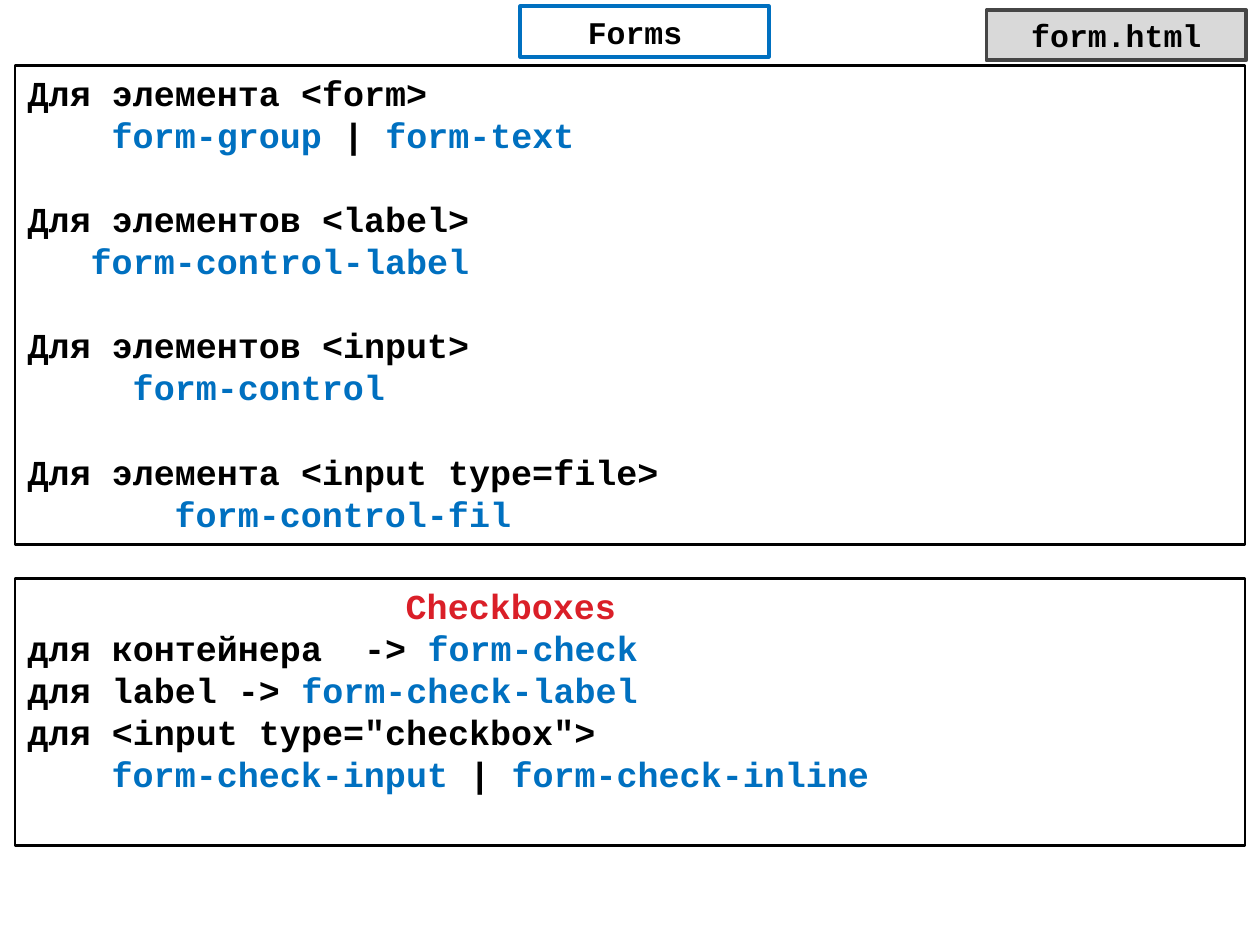
from pptx import Presentation
from pptx.dml.color import RGBColor
from pptx.enum.shapes import MSO_SHAPE
from pptx.enum.text import MSO_ANCHOR, MSO_AUTO_SIZE, PP_ALIGN
from pptx.oxml.ns import qn
from pptx.util import Inches, Pt

RECTANGLE = MSO_SHAPE.RECTANGLE
TOP = MSO_ANCHOR.TOP
NO_AUTOFIT = MSO_AUTO_SIZE.NONE
CENTER = PP_ALIGN.CENTER
LEFT = PP_ALIGN.LEFT

COLORS = {"text": "000000", "code": "0070C0", "heading": "DA1F28",
          "tag_fill": "D9D9D9", "tag_line": "464646"}
CHAR_WIDTH = 1 / 6
LINE_PITCH = 24


def frame_box(box, bounds, line_color, line_width):
    box.left, box.top, box.width, box.height = [Inches(v) for v in bounds]
    box.line.color.rgb = RGBColor.from_string(COLORS[line_color])
    box.line.width = Pt(line_width)
    settings = {"word_wrap": True, "auto_size": NO_AUTOFIT, "vertical_anchor": TOP,
                "margin_left": Inches(0.1), "margin_right": Inches(0.1),
                "margin_top": Inches(0.05), "margin_bottom": Inches(0.05)}
    for name, value in settings.items():
        setattr(box.text_frame, name, value)


def add_text(paragraph, text, color, size):
    run = paragraph.add_run()
    run.text = text
    for name, value in {"name": "Courier New", "size": Pt(size), "bold": True}.items():
        setattr(run.font, name, value)
    run.font.color.rgb = RGBColor.from_string(COLORS[color])


deck = Presentation()
deck.slide_width, deck.slide_height = Inches(10), Inches(7.5)
slide = deck.slides.add_slide(deck.slide_layouts[3])
title, form_classes, checkbox_classes = slide.placeholders

file_tag = slide.shapes.add_shape(RECTANGLE, 0, 0, 0, 0)
file_tag.shadow.inherit = False
file_tag.fill.solid()
file_tag.fill.fore_color.rgb = RGBColor.from_string(COLORS["tag_fill"])

for box, bounds, line_color, text in [
    (title, (4.13, 0.05, 1.97, 0.4), "code", "Forms"),
    (file_tag, (7.83, 0.08, 2.06, 0.4), "tag_line", "form.html"),
]:
    frame_box(box, bounds, line_color, 2.25)
    label = box.text_frame.paragraphs[0]
    label.alignment = CENTER
    label.line_spacing = Pt(21.6)
    add_text(label, text, "text", 18)
title.text_frame.margin_right = Inches(0.25)

form_lines = [
    (0, 0, [("Для элемента <form>", "text")]),
    (4, 0, [("form-group ", "code"), ("| ", "text"), ("form-text", "code")]),
    (0, 1, [("Для элементов <label>", "text")]),
    (3, 0, [("form-control-label", "code")]),
    (0, 1, [("Для элементов <input>", "text")]),
    (5, 0, [("form-control", "code")]),
    (0, 1, [("Для элемента <input type=file>", "text")]),
    (7, 0, [("form-control-fil", "code")]),
]
checkbox_lines = [
    (18, 0, [("Checkboxes", "heading")]),
    (0, 0, [("для контейнерa  -> ", "text"), ("form-check", "code")]),
    (0, 0, [("для label -> ", "text"), ("form-check-label", "code")]),
    (0, 0, [('для <input type="checkbox">', "text")]),
    (4, 0, [("form-check-input", "code"), (" | ", "text"), ("form-check-inline", "code")]),
]

for box, top, height, lines in [
    (form_classes, 0.52, 3.8, form_lines),
    (checkbox_classes, 4.59, 2.12, checkbox_lines),
]:
    frame_box(box, (0.12, top, 9.76, height), "text", 1.5)
    for number, (indent, gap_lines, parts) in enumerate(lines):
        frame = box.text_frame
        paragraph = frame.add_paragraph() if number else frame.paragraphs[0]
        paragraph.alignment = LEFT
        paragraph.line_spacing = Pt(LINE_PITCH)
        paragraph.space_before = Pt(LINE_PITCH * gap_lines)
        properties = paragraph._p.get_or_add_pPr()
        properties.set("marL", str(Inches(indent * CHAR_WIDTH)))
        properties.set("indent", "0")
        properties.append(properties.makeelement(qn("a:buNone"), {}))
        for text, color in parts:
            add_text(paragraph, text, color, 20)

deck.save("out.pptx")
